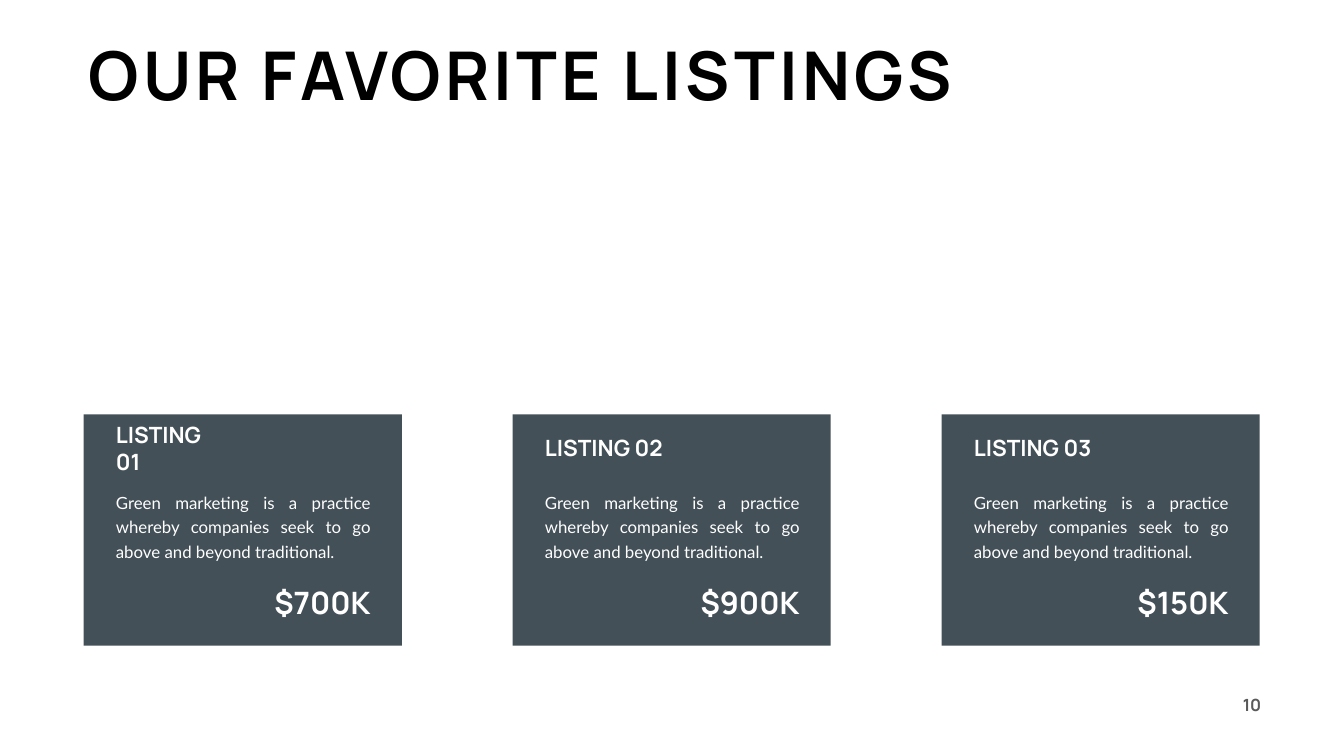
from dataclasses import dataclass

from lxml import etree
from pptx import Presentation
from pptx.dml.color import RGBColor
from pptx.enum.shapes import MSO_SHAPE
from pptx.enum.text import MSO_ANCHOR, PP_ALIGN
from pptx.oxml.ns import qn
from pptx.util import Pt

RECTANGLE = MSO_SHAPE.RECTANGLE
TOP, MIDDLE = MSO_ANCHOR.TOP, MSO_ANCHOR.MIDDLE
LEFT, RIGHT, JUSTIFY = PP_ALIGN.LEFT, PP_ALIGN.RIGHT, PP_ALIGN.JUSTIFY


@dataclass(frozen=True)
class Theme:
    heading_font: str = "Manrope"
    body_font: str = "Lato"
    black: RGBColor = RGBColor(0x00, 0x00, 0x00)
    white: RGBColor = RGBColor(0xFF, 0xFF, 0xFF)
    gray: RGBColor = RGBColor(0x59, 0x59, 0x59)
    card: RGBColor = RGBColor(0x2F, 0x3E, 0x46)
    title_size: int = 96
    price_size: int = 44
    name_size: int = 32
    body_size: int = 24


theme = Theme()


def add_text(slide, text, left, top, width, height, size, color,
             font=theme.heading_font, bold=True, align=LEFT, anchor=TOP, wrap=False):
    box = slide.shapes.add_textbox(Pt(left), Pt(top), Pt(width), Pt(height))
    frame = box.text_frame
    frame.word_wrap = wrap
    frame.vertical_anchor = anchor
    paragraph = frame.paragraphs[0]
    paragraph.alignment = align
    run = paragraph.add_run()
    run.text = text
    run.font.name = font
    run.font.size = Pt(size)
    run.font.bold = bold
    run.font.color.rgb = color
    return box


presentation = Presentation()
presentation.slide_width = Pt(1919.52)
presentation.slide_height = Pt(1080)
slide = presentation.slides.add_slide(presentation.slide_layouts[6])

# Page number
add_text(slide, "10", 1757.5, 988.5, 51, 36, theme.body_size, theme.gray, align=RIGHT)

# Listing cards
margin, card_top, card_width, card_height = 119.5, 592, 454.3, 330.5
card_step = 612.7
padding = 38.9
description = ("Green marketing is a practice whereby companies seek "
               "to go above and beyond traditional.")
# Name, width of the name box, price, width of the price box
listings = [
    ("LISTING 01", 177, "$700K", 156),
    ("LISTING 02", 184, "$900K", 160),
    ("LISTING 03", 184, "$150K", 149),
]

for index, (name, name_width, price, price_width) in enumerate(listings):
    card_left = margin + index * card_step
    text_left = card_left + padding
    text_width = card_width - 2 * padding + 1.5

    card = slide.shapes.add_shape(RECTANGLE, Pt(card_left), Pt(card_top),
                                  Pt(card_width), Pt(card_height))
    card.shadow.inherit = False
    card.line.fill.background()
    card.fill.solid()
    card.fill.fore_color.rgb = theme.card
    color_element = card.fill._xPr.find(qn("a:solidFill"))[0]
    etree.SubElement(color_element, qn("a:alpha")).set("val", "90000")

    # The first name breaks over two lines
    name_box = add_text(slide, name, text_left, 616.5, name_width, 46, theme.name_size,
                        theme.white, anchor=MIDDLE, wrap=index == 0)
    if index == 0:
        name_box.text_frame.margin_right = Pt(25)

    body_box = add_text(slide, description, text_left, 693.5, text_width, 109.5,
                        theme.body_size, theme.white, font=theme.body_font,
                        bold=False, align=JUSTIFY, wrap=True)
    body_box.text_frame.paragraphs[0].line_spacing = Pt(35)

    add_text(slide, price, text_left + text_width - price_width, 829.5, price_width, 60.5,
             theme.price_size, theme.white, align=RIGHT, anchor=MIDDLE)

# Title with wide letter spacing
title = add_text(slide, "OUR FAVORITE LISTINGS", margin, 44, 1290, 124,
                 theme.title_size, theme.black)
title.text_frame.paragraphs[0].runs[0].font._element.set("spc", "600")

presentation.save("out.pptx")
